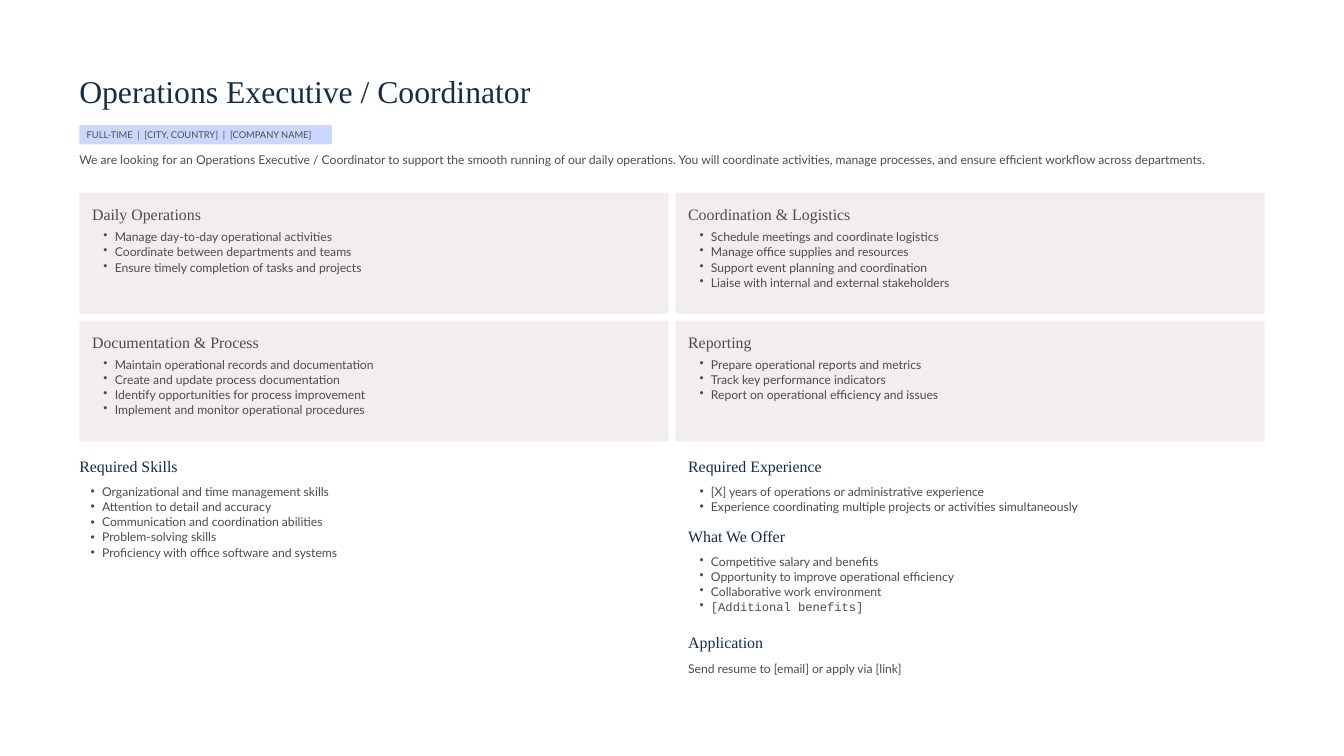
import pptx
import pptx.dml.color
import pptx.enum.shapes
import pptx.enum.text
import pptx.oxml.ns
import pptx.util
from lxml import etree
from pptx.util import Inches

NAVY = pptx.dml.color.RGBColor(0x15, 0x2D, 0x47)
GREY = pptx.dml.color.RGBColor(0x4C, 0x4C, 0x4D)
LILAC = pptx.dml.color.RGBColor(0xCC, 0xD7, 0xFF)
SAND = pptx.dml.color.RGBColor(0xF2, 0xEE, 0xEE)
SERIF, SANS, MONO = "Times New Roman", "Lato", "Courier New"


def write(box, bounds, lines, size, spacing, font=SANS, color=GREY, bullets=False):
    """Place a text shape and format each line as one paragraph."""
    box.left, box.top, box.width, box.height = (Inches(v) for v in bounds)
    frame = box.text_frame
    frame.text = "\n".join(lines)
    frame.word_wrap = True
    frame.auto_size = pptx.enum.text.MSO_AUTO_SIZE.NONE
    frame.vertical_anchor = pptx.enum.text.MSO_ANCHOR.TOP
    frame.margin_left = frame.margin_right = frame.margin_top = frame.margin_bottom = 0
    for paragraph in frame.paragraphs:
        paragraph.alignment = pptx.enum.text.PP_ALIGN.LEFT
        paragraph.line_spacing = pptx.util.Pt(spacing)
        paragraph.space_before = pptx.util.Pt(0)
        if bullets:
            properties = paragraph._p.get_or_add_pPr()
            properties.set("marL", str(Inches(0.34)))
            properties.set("indent", str(Inches(-0.17)))
            bullet = etree.SubElement(properties, pptx.oxml.ns.qn("a:buChar"))
            bullet.set("char", "•")
        for run in paragraph.runs:
            run.font.name = font
            run.font.size = pptx.util.Pt(size)
            run.font.bold = False
            run.font.color.rgb = color


def add_panel(left, top, width, height, color):
    """Draw a borderless panel with slightly rounded corners."""
    panel = slide.shapes.add_shape(
        pptx.enum.shapes.MSO_SHAPE.ROUNDED_RECTANGLE,
        Inches(left), Inches(top), Inches(width), Inches(height))
    panel.adjustments[0] = 0.03 / height
    panel.fill.solid()
    panel.fill.fore_color.rgb = color
    panel.line.fill.background()
    panel.shadow.inherit = False


prs = pptx.Presentation()
prs.slide_width, prs.slide_height = Inches(20), Inches(11.25)
slide = prs.slides.add_slide(prs.slide_layouts.get_by_name("Two Content"))

LEFT, CONTENT_WIDTH = 1.18, 17.64
LINE_HEIGHT = 0.27

# Job title, tag and introduction
write(slide.shapes.title, (LEFT, 1.04, CONTENT_WIDTH, 0.61),
      ["Operations Executive / Coordinator"], 34, 42.4, SERIF, NAVY)
add_panel(LEFT, 1.86, 3.76, 0.29, LILAC)
tag = slide.shapes.add_textbox(0, 0, 0, 0)
write(tag, (1.29, 1.93, 4.53, 0.16),
      ["FULL-TIME  |  [CITY, COUNTRY]  |  [COMPANY NAME]"], 10, 11.5)
introduction = slide.shapes.add_textbox(0, 0, 0, 0)
write(introduction, (LEFT, 2.26, CONTENT_WIDTH, 0.48),
      ["We are looking for an Operations Executive / Coordinator to support the smooth "
       "running of our daily operations. You will coordinate activities, manage "
       "processes, and ensure efficient workflow across departments."], 13, 16.2)

# Responsibility cards, two by two
CARD_TOP, CARD_WIDTH, CARD_HEIGHT, CARD_GAP, CARD_PADDING = 2.87, 8.77, 1.8, 0.1, 0.19
responsibilities = [
    ("Daily Operations", [
        "Manage day-to-day operational activities",
        "Coordinate between departments and teams",
        "Ensure timely completion of tasks and projects"]),
    ("Coordination & Logistics", [
        "Schedule meetings and coordinate logistics",
        "Manage office supplies and resources",
        "Support event planning and coordination",
        "Liaise with internal and external stakeholders"]),
    ("Documentation & Process", [
        "Maintain operational records and documentation",
        "Create and update process documentation",
        "Identify opportunities for process improvement",
        "Implement and monitor operational procedures"]),
    ("Reporting", [
        "Prepare operational reports and metrics",
        "Track key performance indicators",
        "Report on operational efficiency and issues"]),
]
for index, (heading, duties) in enumerate(responsibilities):
    row, column = divmod(index, 2)
    card_left = LEFT + column * (CARD_WIDTH + CARD_GAP)
    card_top = CARD_TOP + row * (CARD_HEIGHT + CARD_GAP)
    add_panel(card_left, card_top, CARD_WIDTH, CARD_HEIGHT, SAND)
    text_left, text_width = card_left + CARD_PADDING, CARD_WIDTH - 2 * CARD_PADDING
    write(slide.shapes.add_textbox(0, 0, 0, 0),
          (text_left, card_top + 0.17, text_width, 0.32), [heading], 17, 21.2, SERIF)
    write(slide.shapes.add_textbox(0, 0, 0, 0),
          (text_left, card_top + 0.54, text_width, LINE_HEIGHT * len(duties)),
          duties, 13, 16.2, bullets=True)

# Requirements, offer and application
RIGHT, SECTION_WIDTH = 10.24, 8.59
skills, experience = slide.placeholders[1], slide.placeholders[2]
offer = slide.shapes.add_textbox(0, 0, 0, 0)
application = slide.shapes.add_textbox(0, 0, 0, 0)
sections = [
    (skills, LEFT, 6.78, "Required Skills", [
        "Organizational and time management skills",
        "Attention to detail and accuracy",
        "Communication and coordination abilities",
        "Problem-solving skills",
        "Proficiency with office software and systems"]),
    (experience, RIGHT, 6.78, "Required Experience", [
        "[X] years of operations or administrative experience",
        "Experience coordinating multiple projects or activities simultaneously"]),
    (offer, RIGHT, 7.82, "What We Offer", [
        "Competitive salary and benefits",
        "Opportunity to improve operational efficiency",
        "Collaborative work environment",
        "[Additional benefits]"]),
    (application, RIGHT, 9.41, "Application", [
        "Send resume to [email] or apply via [link]"]),
]
for details, left, top, heading, lines in sections:
    write(slide.shapes.add_textbox(0, 0, 0, 0),
          (left, top, SECTION_WIDTH, 0.32), [heading], 17, 21.2, SERIF, NAVY)
    write(details, (left, top + 0.42, SECTION_WIDTH, LINE_HEIGHT * len(lines)),
          lines, 13, 16.2, bullets=details is not application)
offer.text_frame.paragraphs[-1].runs[0].font.name = MONO

prs.save("out.pptx")
